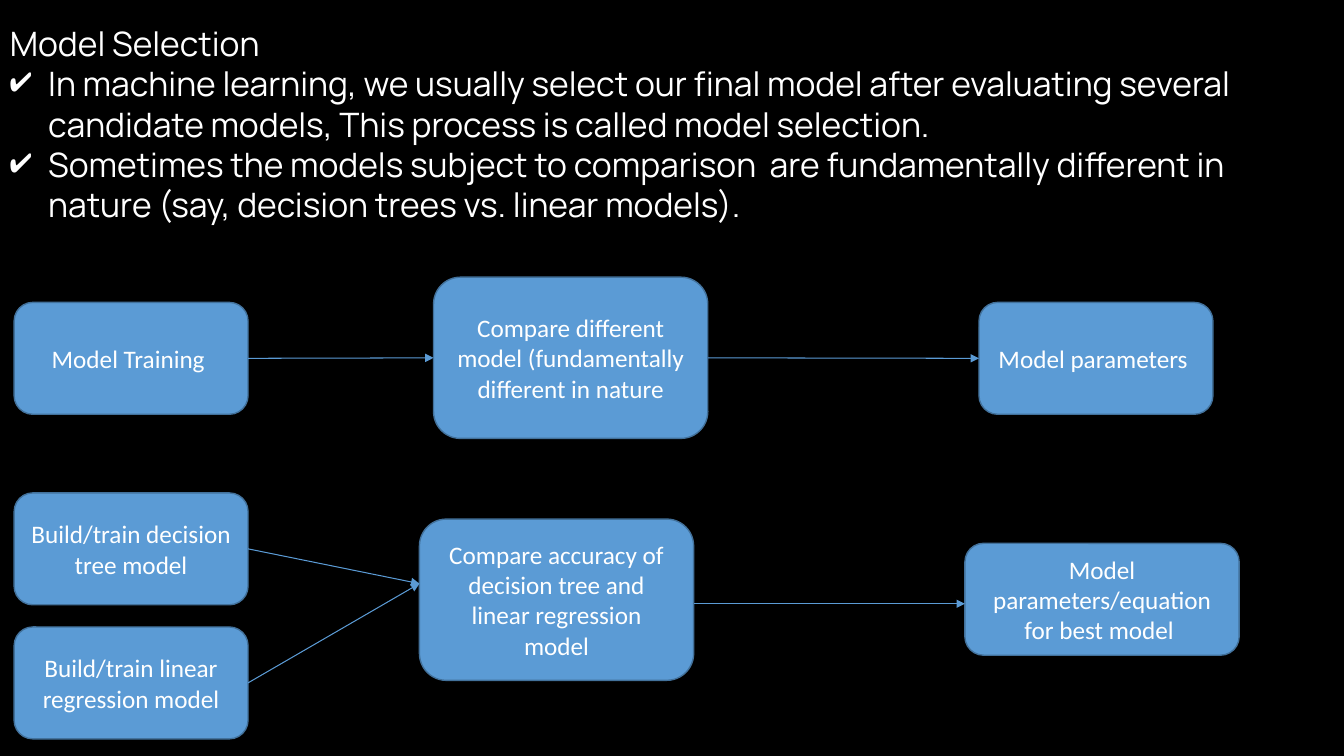
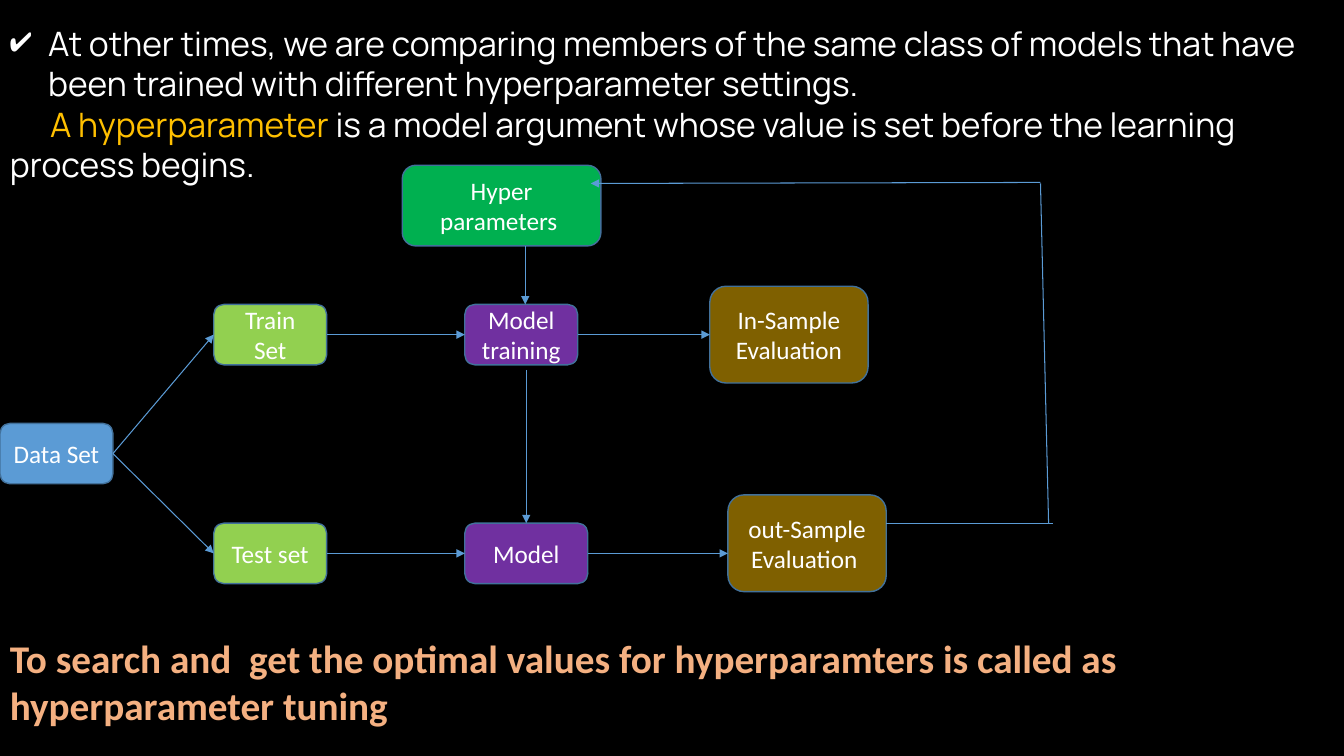
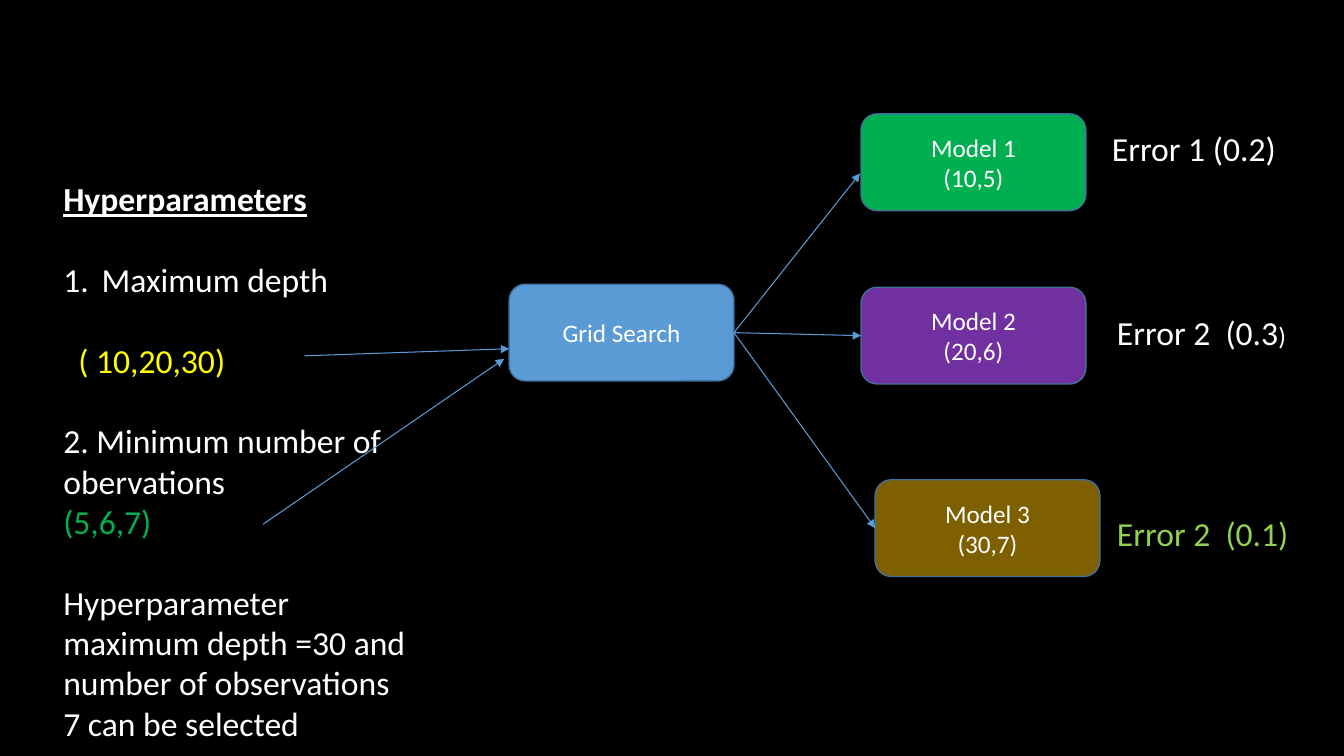
"""Build three slides on model selection and hyperparameter tuning."""
from lxml import etree
from pptx import Presentation
from pptx.dml.color import RGBColor
from pptx.enum import shapes, text
from pptx.oxml import ns
from pptx.util import Inches, Pt

BLACK = RGBColor(0x00, 0x00, 0x00)
WHITE = RGBColor(0xFF, 0xFF, 0xFF)
BLUE = RGBColor(0x5B, 0x9B, 0xD5)
EDGE = RGBColor(0x42, 0x71, 0x9B)
LIME = RGBColor(0x92, 0xD0, 0x50)
GREEN = RGBColor(0x00, 0xB0, 0x50)
PURPLE = RGBColor(0x70, 0x30, 0xA0)
BROWN = RGBColor(0x7F, 0x60, 0x00)
GOLD = RGBColor(0xFF, 0xC0, 0x00)
YELLOW = RGBColor(0xFF, 0xFF, 0x00)
PEACH = RGBColor(0xF4, 0xB0, 0x81)

BODY = "Calibri"
HEAD = "Manrope"
GAP = 28.8
TOP, LEFT, BOTTOM, RIGHT = range(4)


class Deck:
    """Hold the shared style and the current slide."""

    def __init__(self):
        self.prs = Presentation()
        self.prs.slide_width = Inches(13.33)
        self.prs.slide_height = Inches(7.5)
        self.slide = None

    def page(self):
        """Start a blank slide on black."""
        self.slide = self.prs.slides.add_slide(self.prs.slide_layouts[6])
        fill = self.slide.background.fill
        fill.solid()
        fill.fore_color.rgb = BLACK

    def run(self, para, words, color=WHITE, size=24, face=BODY, bold=False, under=False):
        """Add one styled run."""
        run = para.add_run()
        run.text = words
        font = run.font
        font.name, font.size, font.bold, font.underline = face, Pt(size), bold, under
        font.color.rgb = color

    def para(self, frame, words="", gap=0, mark=None, indent=0, **style):
        """Add a paragraph, with a bullet or a first-line indent if asked."""
        para = frame.paragraphs[0]
        if para.runs:
            para = frame.add_paragraph()
        props = para._p.get_or_add_pPr()
        if mark:
            props.set("marL", str(Inches(0.38)))
            props.set("indent", str(Inches(-0.38)))
            tint = etree.SubElement(props, ns.qn("a:buClr"))
            etree.SubElement(tint, ns.qn("a:srgbClr"), val=str(WHITE))
            if mark == "1.":
                etree.SubElement(props, ns.qn("a:buAutoNum"), type="arabicPeriod")
            else:
                etree.SubElement(props, ns.qn("a:buChar"), char=mark)
        elif indent:
            props.set("indent", str(Inches(indent)))
        if gap:
            para.space_before = Pt(gap)
        if words:
            self.run(para, words, **style)
        return para

    def text(self, x, y, w, h):
        """Add a wrapping text box and return its frame."""
        box = self.slide.shapes.add_textbox(Inches(x), Inches(y), Inches(w), Inches(h))
        box.text_frame.word_wrap = True
        return box.text_frame

    def node(self, x, y, w, h, *lines, fill=BLUE):
        """Add a rounded box with centred lines."""
        box = self.slide.shapes.add_shape(
            shapes.MSO_SHAPE.ROUNDED_RECTANGLE, Inches(x), Inches(y), Inches(w), Inches(h))
        box.shadow.inherit = False
        box.fill.solid()
        box.fill.fore_color.rgb = fill
        box.line.color.rgb = EDGE
        box.line.width = Pt(1)
        frame = box.text_frame
        frame.word_wrap = True
        frame.vertical_anchor = text.MSO_ANCHOR.MIDDLE
        for line in lines:
            self.para(frame, line, size=18).alignment = text.PP_ALIGN.CENTER
        return box

    def link(self, start, end, tip=True):
        """Draw a line; each end is an (x, y) point or a (box, side) pair."""
        line = self.slide.shapes.add_connector(shapes.MSO_CONNECTOR.STRAIGHT, 0, 0, 0, 0)
        if isinstance(start[0], float):
            line.begin_x, line.begin_y = map(Inches, start)
        else:
            line.begin_connect(*start)
        if isinstance(end[0], float):
            line.end_x, line.end_y = map(Inches, end)
        else:
            line.end_connect(*end)
        line.line.color.rgb = BLUE
        line.line.width = Pt(0.75)
        if tip:
            etree.SubElement(line.line._get_or_add_ln(), ns.qn("a:tailEnd"), type="triangle")
        etree.SubElement(line._element.spPr, ns.qn("a:effectLst"))


def choose(deck):
    """Build the model selection slide."""
    deck.page()
    frame = deck.text(0, 0.18, 13.33, 2.1)
    deck.para(frame, "Model Selection", face=HEAD)
    for point in (
        "In machine learning, we usually select our final model after evaluating several "
        "candidate models, This process is called model selection.",
        "Sometimes the models subject to comparison  are fundamentally different in nature "
        "(say, decision trees vs. linear models).",
    ):
        deck.para(frame, point, mark="✔", face=HEAD)

    train = deck.node(0.14, 3, 2.32, 1.11, "Model Training ")
    match = deck.node(4.3, 2.75, 2.72, 1.6,
                      "Compare different model (fundamentally different in nature")
    result = deck.node(9.71, 3, 2.32, 1.11, "Model parameters ")
    deck.link((train, RIGHT), (match, LEFT))
    deck.link((match, RIGHT), (result, LEFT))

    tree = deck.node(0.14, 4.89, 2.32, 1.11, "Build/train decision tree model")
    linear = deck.node(0.14, 6.22, 2.32, 1.11, "Build/train linear regression model")
    deck.node(4.16, 5.15, 2.72, 1.6,
              "Compare accuracy of decision tree and linear regression model")
    deck.node(9.57, 5.39, 2.72, 1.11, "Model parameters/equation for best model ")
    deck.link((6.88, 5.99), (9.57, 5.99))
    for source in (tree, linear):
        deck.link((source, RIGHT), (4.16, 5.79))


def tune(deck):
    """Build the hyperparameter tuning slide."""
    deck.page()
    frame = deck.text(0, 0.18, 13.33, 1.7)
    deck.para(frame, "At other times, we are comparing members of the same class of models "
              "that have been trained with different hyperparameter settings.",
              mark="✔", face=HEAD)
    term = deck.para(frame, "A hyperparameter ", indent=0.4, color=GOLD, face=HEAD)
    deck.run(term, "is a model argument whose value is set before the learning process begins.",
             face=HEAD)
    deck.para(deck.text(0, 6.24, 13.33, 1.04),
              "To search and  get the optimal values for hyperparamters is called as "
              "hyperparameter tuning", color=PEACH, size=28, bold=True)

    data = deck.node(0, 4.2, 1.12, 0.6, "Data Set")
    test = deck.node(2.12, 5.19, 1.12, 0.6, "Test set", fill=LIME)
    train = deck.node(2.12, 3.02, 1.12, 0.6, "Train Set", fill=LIME)
    learn = deck.node(4.61, 3.02, 1.12, 0.6, "Model training", fill=PURPLE)
    model = deck.node(4.61, 5.19, 1.22, 0.6, "Model", fill=PURPLE)
    inner = deck.node(7.04, 2.84, 1.57, 0.96, "In-Sample Evaluation", fill=BROWN)
    deck.node(7.22, 4.91, 1.57, 0.96, "out-Sample Evaluation ", fill=BROWN)
    deck.node(3.99, 1.64, 1.97, 0.8, "Hyper parameters ", fill=GREEN)

    for start, end in ((data, train), (data, test), (train, learn), (test, model),
                       (learn, inner)):
        deck.link((start, RIGHT), (end, LEFT))
    deck.link((model, RIGHT), (7.22, 5.49))
    deck.link((5.22, 3.67), (model, TOP))
    deck.link((5.21, 2.44), (5.21, 3.02))
    deck.link((8.79, 5.19), (10.44, 5.19), tip=False)
    deck.link((10.32, 1.82), (10.4, 5.19), tip=False)
    deck.link((10.32, 1.81), (5.86, 1.82))


def search(deck):
    """Build the grid search slide."""
    deck.page()
    grid = deck.node(5.05, 2.82, 2.23, 0.96, "Grid Search")
    frame = deck.text(0.53, 1.72, 3.6, 5.76)
    deck.para(frame, "Hyperparameters", bold=True, under=True)
    deck.para(frame, "Maximum depth", gap=GAP, mark="1.")
    deck.para(frame, "( 10,20,30)", gap=GAP, indent=0.15, color=YELLOW)
    deck.para(frame, "2. Minimum number of obervations", gap=GAP)
    deck.para(frame, "(5,6,7)", color=GREEN)
    deck.para(frame, "Hyperparameter maximum depth =30 and number of observations 7 "
              "can be selected", gap=GAP)
    deck.link((3.02, 3.53), (5.05, 3.46))
    deck.link((2.61, 5.2), (5.0, 3.56))

    third = deck.node(8.68, 4.76, 2.23, 0.96, "Model 3", "(30,7)", fill=BROWN)
    second = deck.node(8.54, 2.85, 2.23, 0.96, "Model 2", "(20,6)", fill=PURPLE)
    deck.node(8.54, 1.13, 2.23, 0.96, "Model 1", "(10,5)", fill=GREEN)
    for end in ((8.53, 1.72), (second, LEFT), (third, LEFT)):
        deck.link((grid, RIGHT), end)

    deck.para(deck.text(10.93, 1.22, 2.3, 0.5), "Error 1 (0.2)")
    error = deck.para(deck.text(10.98, 3.05, 1.89, 0.5), "Error 2  (0.3")
    deck.run(error, ")", size=18)
    deck.para(deck.text(10.98, 5.04, 1.91, 0.5), "Error 2  (0.1)", color=LIME)


def main():
    """Build and save the deck."""
    deck = Deck()
    for build in (choose, tune, search):
        build(deck)
    deck.prs.save("out.pptx")


if __name__ == "__main__":
    main()
